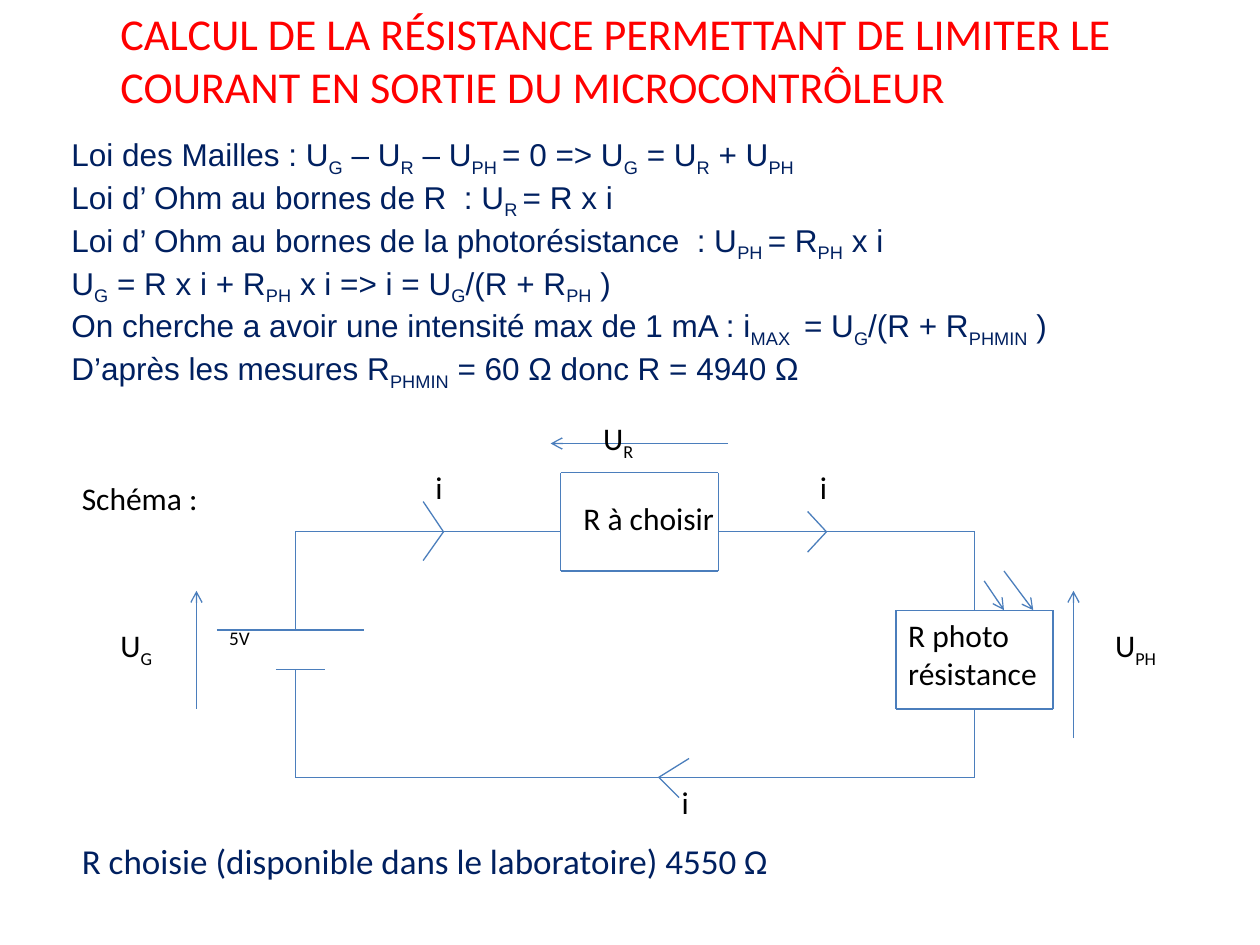
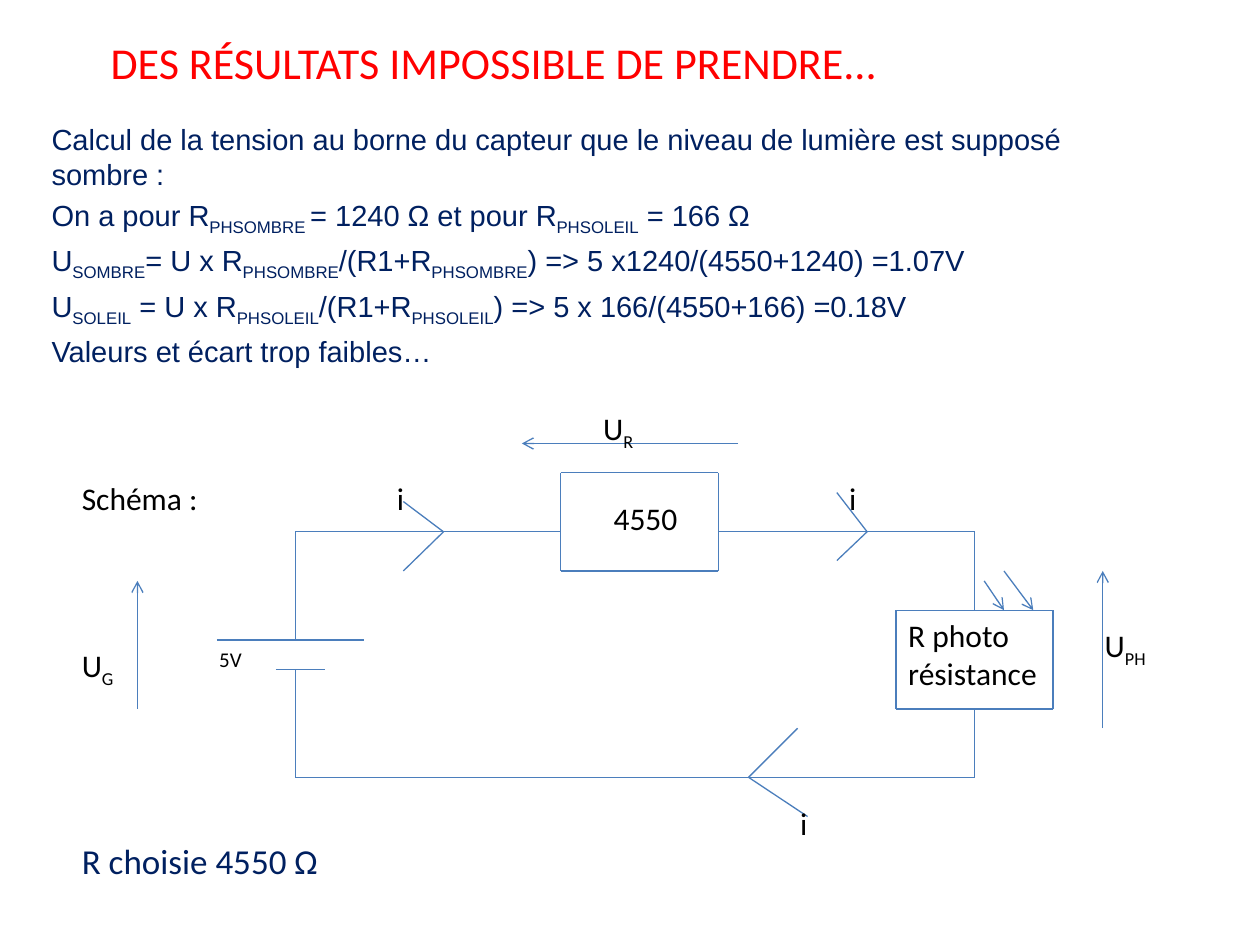
from itertools import pairwise

from lxml.etree import SubElement
from pptx import Presentation
from pptx.dml.color import RGBColor
from pptx.enum.shapes import MSO_CONNECTOR
from pptx.enum.text import MSO_ANCHOR
from pptx.oxml.ns import qn
from pptx.util import Cm, Pt

RED, NAVY, BLACK, WIRE = "FF0000", "002060", "000000", "4B7EBC"
LABEL_HEIGHT = 1.02

TOP, BOTTOM = 10.72, 15.67
BATTERY_X, PHOTO_X = 5.95, 19.65
RESISTOR = (11.3, 9.53, 14.48, 11.51)
PHOTO = (18.06, 12.3, 21.23, 14.29)
MINUS_Y = 13.49
LIGHT_RAYS = [
    [(20.24, 11.51), (20.83, PHOTO[1])],
    [(19.84, 11.71), (20.24, PHOTO[1])],
]

SLIDES = [
    {
        "title": ("CALCUL DE LA RÉSISTANCE PERMETTANT DE LIMITER LE COURANT "
                  "EN SORTIE DU MICROCONTRÔLEUR", (2.18, 0, 20.65, 0.79)),
        "laws": [
            "Loi des Mailles : U~G~ – U~R~ – U~PH ~= 0 => U~G~ = U~R~ + U~PH",
            "Loi d’ Ohm au bornes de R  : U~R ~= R x i",
            "Loi d’ Ohm au bornes de la photorésistance  : U~PH ~= R~PH~ x i",
            "U~G~ = R x i + R~PH~ x i => i = U~G~/(R + R~PH~ )",
            "On cherche a avoir une intensité max de 1 mA : "
            "i~MAX ~ = U~G~/(R + R~PHMIN~ )",
            "D’après les mesures R~PHMIN~ = 60 Ω donc R = 4940 Ω",
        ],
        "laws_box": (1.19, 2.59, 22.81, 5.64),
        "laws_format": {"size": 18},
        "conclusion": "R choisie (disponible dans le laboratoire) 4550 Ω",
        "plus_y": 12.7,
        "supply": ((4.37, 12.5, 4.95, 0.74), 11),
        "labels": [
            ("R à choisir", 11.51, 9.93, 3.18),
            ("U~G", 2.18, 12.5, 1.6),
            ("U~R", 11.91, 8.33, 2.97),
            ("U~PH", 22.23, 12.5, 1.98),
            ("i", 16.28, 9.32, 1.78),
            ("i", 8.53, 9.32, 2.59),
            ("i", 13.49, 15.67, 2.97),
        ],
        "voltages": [
            [(3.96, 14.29), (3.96, 11.91)],
            [(14.68, 8.94), (11.1, 8.94)],
            [(21.64, 14.88), (21.64, 11.91)],
        ],
        "currents": [
            [(8.53, 10.11), (8.94, TOP), (8.53, 11.3)],
            [(16.28, 10.31), (16.66, TOP), (16.28, 11.13)],
            [(13.89, 15.29), (13.28, BOTTOM), (13.69, 16.08)],
        ],
    },
    {
        "title": ("DES RÉSULTATS IMPOSSIBLE DE PRENDRE...",
                  (1.98, 0.58, 21.59, 1.4)),
        "laws": [
            "Calcul de la tension au borne du capteur que le niveau de "
            "lumière est supposé sombre :",
            "On a pour R~PHSOMBRE ~= 1240 Ω et pour R~PHSOLEIL~ = 166 Ω",
            "U~SOMBRE~= U x R~PHSOMBRE~/(R1+R~PHSOMBRE~) "
            "=> 5 x1240/(4550+1240) =1.07V",
            "U~SOLEIL~ = U x R~PHSOLEIL~/(R1+R~PHSOLEIL~) "
            "=> 5 x 166/(4550+166) =0.18V",
            "Valeurs et écart trop faibles…",
        ],
        "laws_box": (0.79, 2.77, 21.59, 4.78),
        "laws_format": {"size": 16.6, "anchor": MSO_ANCHOR.BOTTOM,
                        "space_before": 3.3},
        "conclusion": "R choisie 4550 Ω",
        "plus_y": 12.9,
        "supply": ((4.17, 12.9, 6.15, 0.76), 12),
        "labels": [
            ("4550", 12.12, 9.93, 3.18),
            ("U~G", 1.4, 12.9, 1.4),
            ("U~R", 11.91, 8.13, 2.97),
            ("U~PH", 22.02, 12.5, 2.18),
            ("i", 16.87, 9.53, 1.6),
            ("i", 7.75, 9.53, 2.97),
            ("i", 15.88, 16.08, 3.58),
        ],
        "voltages": [
            [(2.77, 14.29), (2.77, 11.71)],
            [(14.88, 8.94), (10.52, 8.94)],
            [(22.23, 14.68), (22.23, 11.51)],
        ],
        "currents": [
            [(8.13, 10.11), (8.94, TOP), (8.13, 11.51)],
            [(16.87, 9.93), (17.48, TOP), (16.87, 11.3)],
            [(16.08, 14.68), (15.09, BOTTOM), (16.28, 16.46)],
        ],
    },
]


def rgb(color):
    return RGBColor.from_string(color)


def write(slide, paragraphs, box, size=18, font="Calibri", color=BLACK,
          anchor=MSO_ANCHOR.TOP, space_before=0):
    frame = slide.shapes.add_textbox(*map(Cm, box)).text_frame
    frame.word_wrap = True
    frame.vertical_anchor = anchor
    for index, content in enumerate(paragraphs):
        paragraph = frame.add_paragraph() if index else frame.paragraphs[0]
        paragraph.space_before = Pt(space_before)
        for part, piece in enumerate(content.split("~")):
            run = paragraph.add_run()
            run.text = piece
            run.font.size = Pt(size)
            run.font.name = font
            run.font.color.rgb = rgb(color)
            if part % 2:
                run._r.get_or_add_rPr().set("baseline", "-25000")


def draw(slide, points, arrow=False):
    for start, end in pairwise(points):
        segment = slide.shapes.add_connector(
            MSO_CONNECTOR.STRAIGHT, *map(Cm, (*start, *end)))
        segment.line.color.rgb = rgb(WIRE)
        segment.line.width = Pt(0.75)
        properties = segment._element.spPr
        if arrow:
            SubElement(properties.find(qn("a:ln")), qn("a:tailEnd"), type="arrow")
        SubElement(properties, qn("a:effectLst"))


def outline(left, top, right, bottom):
    return [(left, top), (right, top), (right, bottom), (left, bottom), (left, top)]


def draw_circuit(slide, plus_y):
    wires = [
        outline(*RESISTOR),
        outline(*PHOTO),
        [(RESISTOR[0], TOP), (BATTERY_X, TOP), (BATTERY_X, plus_y)],
        [(4.37, plus_y), (7.34, plus_y)],
        [(5.56, MINUS_Y), (6.55, MINUS_Y)],
        [(BATTERY_X, MINUS_Y), (BATTERY_X, BOTTOM), (PHOTO_X, BOTTOM),
         (PHOTO_X, PHOTO[3])],
        [(PHOTO_X, PHOTO[1]), (PHOTO_X, TOP), (RESISTOR[2], TOP)],
    ]
    for wire in wires:
        draw(slide, wire)


deck = Presentation()
deck.slide_width, deck.slide_height = Cm(25.4), Cm(19.05)

for content in SLIDES:
    slide = deck.slides.add_slide(deck.slide_layouts[6])
    title, title_box = content["title"]
    write(slide, [title], title_box, size=25.2, color=RED)
    write(slide, content["laws"], content["laws_box"], font="Arial", color=NAVY,
          **content["laws_format"])
    draw_circuit(slide, content["plus_y"])
    for current in content["currents"]:
        draw(slide, current)
    for arrow in LIGHT_RAYS + content["voltages"]:
        draw(slide, arrow, arrow=True)
    write(slide, ["Schéma :"], (1.4, 9.53, 2.97, LABEL_HEIGHT))
    write(slide, ["R photo résistance"], (PHOTO[0], PHOTO[1], 3.18, 1.8))
    for label, left, top, width in content["labels"]:
        write(slide, [label], (left, top, width, LABEL_HEIGHT))
    supply_box, supply_size = content["supply"]
    write(slide, ["5V"], supply_box, size=supply_size)
    write(slide, [content["conclusion"]], (1.4, 13.11, 21.59, 4.78), size=20,
          color=NAVY, anchor=MSO_ANCHOR.BOTTOM, space_before=4)

deck.save("out.pptx")
